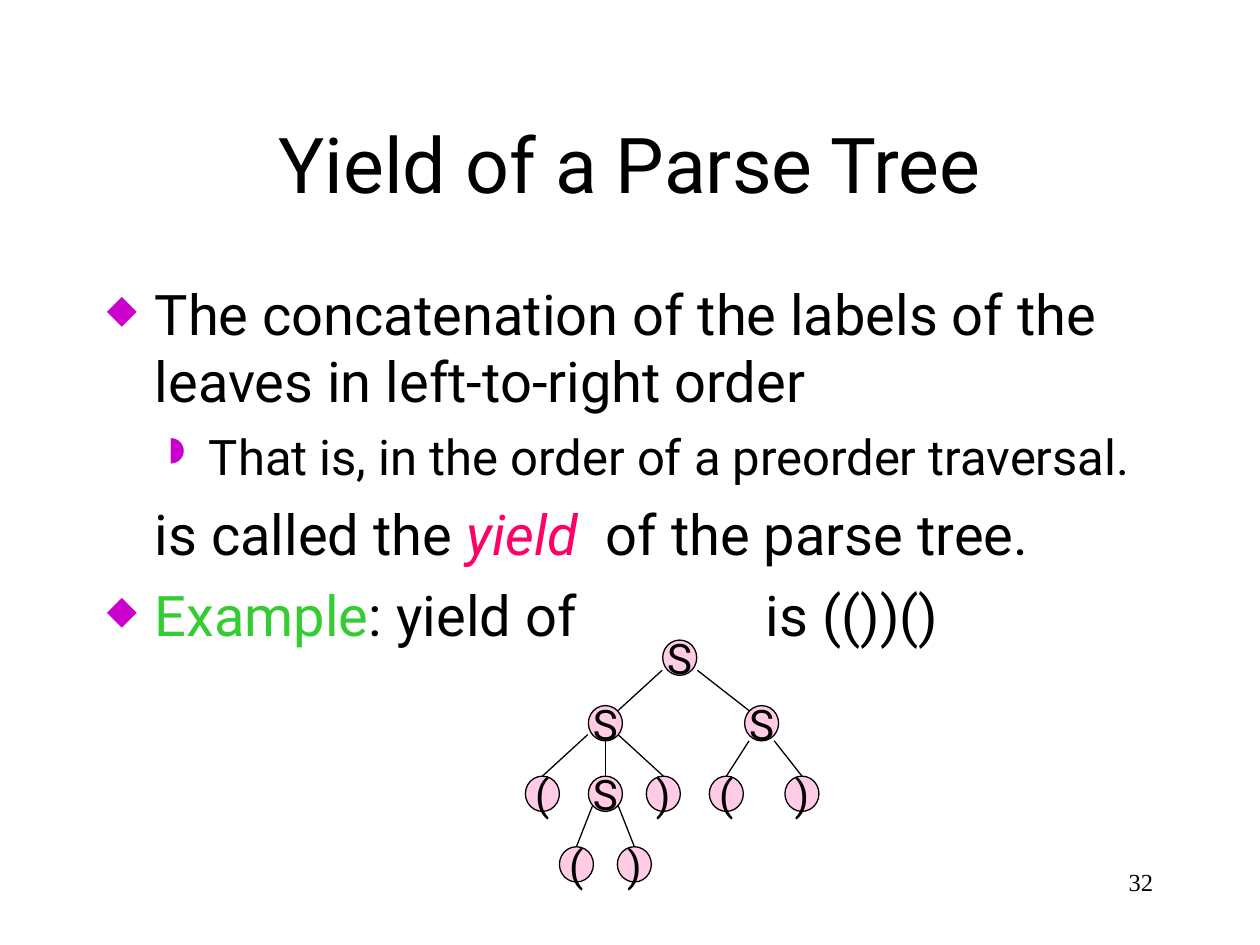
from dataclasses import dataclass

from lxml.etree import SubElement
from pptx import Presentation
from pptx.dml.color import RGBColor
from pptx.enum.shapes import MSO_CONNECTOR as Connector, MSO_SHAPE as Shape
from pptx.enum.text import MSO_ANCHOR as Anchor, PP_ALIGN as Align
from pptx.oxml.ns import qn
from pptx.util import Inches, Pt


@dataclass(frozen=True)
class Theme:
    font: str = "Roboto"
    number_font: str = "Times New Roman"
    ink: str = "000000"
    bullet: str = "CC00CC"
    term: str = "FF0066"
    example: str = "33CC33"
    node: str = "FF99CC"
    title_size: int = 44
    body_size: int = 32
    detail_size: int = 28
    node_size: int = 24
    number_size: int = 14
    bullet_percent: int = 70


THEME = Theme()


@dataclass(frozen=True)
class Span:
    text: str
    color: str = THEME.ink
    italic: bool = False


@dataclass(frozen=True)
class Point:
    spans: tuple[Span, ...]
    size: int = THEME.body_size
    level: int = 0
    margin: float = 0.38
    indent: float = 0
    before: int = 8
    bullet: str = ""
    tabs: tuple[float, ...] = ()


@dataclass(frozen=True)
class Node:
    label: str
    x: float
    leave: tuple[float, float] = (0, 0)
    enter: tuple[float, float] = (0, -0.14)
    children: tuple["Node", ...] = ()


NODE_WIDTH, NODE_HEIGHT = 0.27, 0.28
LEVEL_TOPS = (5.08, 5.6, 6.16, 6.72)

POINTS = (
    Point((Span("The concatenation of the labels of the leaves in left-to-right order"),),
          indent=-0.38, bullet="◆"),
    Point((Span("That is, in the order of a preorder traversal."),), THEME.detail_size,
          level=1, margin=0.81, indent=-0.31, before=7, bullet="◗"),
    Point((Span("is called the "), Span("yield", THEME.term, True),
           Span("  of the parse tree."))),
    Point((Span("\tExample", THEME.example), Span(": yield of\tis (())()")),
          margin=0, bullet="◆", tabs=(0.38, 5.23)),
)

INNER = Node("S", 4.67, (0, 0.14), children=(
    Node("(", 4.44, (-0.1, 0.09)),
    Node(")", 4.9, (0.1, 0.09)),
))
TREE = Node("S", 5.26, children=(
    Node("S", 4.67, (-0.14, 0.1), (0.1, -0.1), (
        Node("(", 4.17, (-0.14, 0.09)),
        INNER,
        Node(")", 5.13, (0.1, 0.09)),
    )),
    Node("S", 5.91, (0.14, 0.1), (-0.1, -0.1), (
        Node("(", 5.63, (-0.1, 0.14)),
        Node(")", 6.23, (0.1, 0.14)),
    )),
))


def add_span(paragraph, span: Span, size: int, font: str = THEME.font) -> None:
    run = paragraph.add_run()
    run.text = span.text
    run.font.name = font
    run.font.size = Pt(size)
    run.font.italic = span.italic
    run.font.color.rgb = RGBColor.from_string(span.color)


def add_point(paragraph, point: Point, first: bool) -> None:
    paragraph.level = point.level
    paragraph.alignment = Align.LEFT
    if not first:
        paragraph.space_before = Pt(point.before)
    properties = paragraph._p.get_or_add_pPr()
    properties.set("marL", str(Inches(point.margin)))
    properties.set("indent", str(Inches(point.indent)))
    if point.bullet:
        color = SubElement(properties, qn("a:buClr"))
        SubElement(color, qn("a:srgbClr"), val=THEME.bullet)
        SubElement(properties, qn("a:buSzPct"), val=str(THEME.bullet_percent * 1000))
        SubElement(properties, qn("a:buChar"), char=point.bullet)
    else:
        SubElement(properties, qn("a:buNone"))
    if point.tabs:
        stops = SubElement(properties, qn("a:tabLst"))
        for position in point.tabs:
            SubElement(stops, qn("a:tab"), pos=str(Inches(position)), algn="l")
    for span in point.spans:
        add_span(paragraph, span, point.size)


def center(node: Node, level: int) -> tuple[float, float]:
    return node.x + NODE_WIDTH / 2, LEVEL_TOPS[level] + NODE_HEIGHT / 2


def add_branch(tree, parent: Node, child: Node, level: int) -> None:
    start_x, start_y = center(parent, level)
    end_x, end_y = center(child, level + 1)
    branch = tree.shapes.add_connector(
        Connector.STRAIGHT,
        Inches(start_x + child.leave[0]), Inches(start_y + child.leave[1]),
        Inches(end_x + child.enter[0]), Inches(end_y + child.enter[1]))
    branch.line.color.rgb = RGBColor.from_string(THEME.ink)
    branch.line.width = Pt(0.75)
    SubElement(branch._element.spPr, qn("a:effectLst"))


def add_node(tree, node: Node, level: int = 0) -> None:
    circle = tree.shapes.add_shape(
        Shape.OVAL, Inches(node.x), Inches(LEVEL_TOPS[level]),
        Inches(NODE_WIDTH), Inches(NODE_HEIGHT))
    circle.shadow.inherit = False
    circle.fill.solid()
    circle.fill.fore_color.rgb = RGBColor.from_string(THEME.node)
    tint = circle._element.spPr.find(qn("a:solidFill")).find(qn("a:srgbClr"))
    SubElement(tint, qn("a:alpha"), val="50000")
    circle.line.color.rgb = RGBColor.from_string(THEME.ink)
    circle.line.width = Pt(0.75)
    frame = circle.text_frame
    frame.word_wrap = False
    frame.vertical_anchor = Anchor.MIDDLE
    frame.paragraphs[0].alignment = Align.CENTER
    add_span(frame.paragraphs[0], Span(node.label), THEME.node_size)
    for child in node.children:
        add_branch(tree, node, child, level)
        add_node(tree, child, level + 1)


def add_title(slide, text: str) -> None:
    title = slide.shapes.title
    title.left, title.top = Inches(0.75), Inches(0.67)
    title.width, title.height = Inches(8.5), Inches(1.25)
    title.text_frame.vertical_anchor = Anchor.MIDDLE
    heading = title.text_frame.paragraphs[0]
    heading.alignment = Align.CENTER
    add_span(heading, Span(text), THEME.title_size)


def add_body(slide, points: tuple[Point, ...]) -> None:
    body = slide.shapes.add_textbox(Inches(0.75), Inches(2.17), Inches(8.5), Inches(4.5))
    frame = body.text_frame
    frame.word_wrap = True
    for index, point in enumerate(points):
        paragraph = frame.add_paragraph() if index else frame.paragraphs[0]
        add_point(paragraph, point, first=index == 0)


def add_page_number(slide, number: str) -> None:
    footer = slide.shapes.add_textbox(Inches(7.17), Inches(6.83), Inches(2.08), Inches(0.5))
    footer.text_frame.word_wrap = True
    paragraph = footer.text_frame.paragraphs[0]
    paragraph.alignment = Align.RIGHT
    add_span(paragraph, Span(number), THEME.number_size, THEME.number_font)


def main() -> None:
    deck = Presentation()
    deck.slide_width, deck.slide_height = Inches(10), Inches(7.5)
    slide = deck.slides.add_slide(deck.slide_layouts[5])
    add_page_number(slide, "32")
    add_title(slide, "Yield of a Parse Tree")
    add_body(slide, POINTS)
    add_node(slide.shapes.add_group_shape(), TREE)
    deck.save("out.pptx")


if __name__ == "__main__":
    main()
